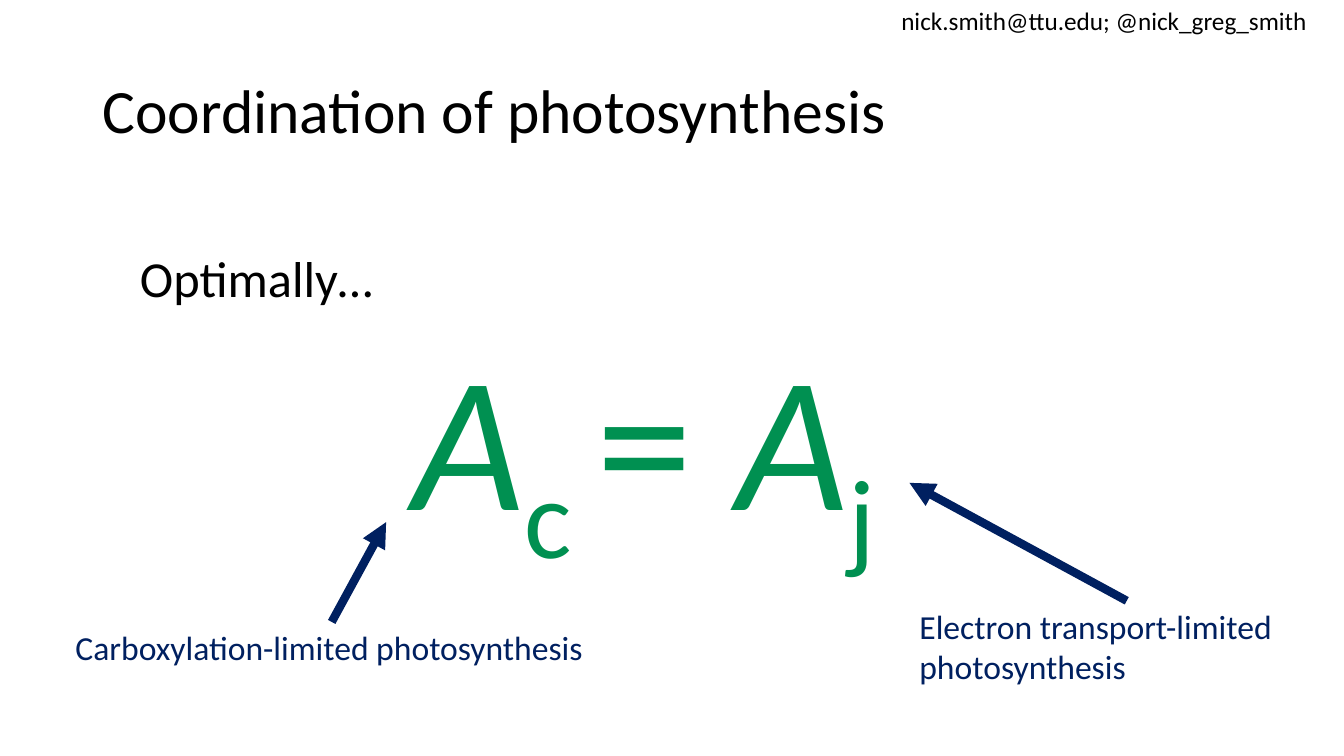
"""Build the slide on the coordination of photosynthesis."""
from lxml import etree
from pptx import Presentation
from pptx.dml.color import RGBColor
from pptx.enum.shapes import MSO_CONNECTOR
from pptx.enum.text import MSO_ANCHOR, MSO_AUTO_SIZE
from pptx.oxml.ns import qn
from pptx.util import Inches, Pt

STRAIGHT = MSO_CONNECTOR.STRAIGHT
MIDDLE = MSO_ANCHOR.MIDDLE
GROW = MSO_AUTO_SIZE.SHAPE_TO_FIT_TEXT
BLACK = RGBColor(0x00, 0x00, 0x00)
GREEN = RGBColor(0x00, 0x90, 0x51)
NAVY = RGBColor(0x00, 0x20, 0x60)
FONT = "Calibri"
TOP = 0
WIDE, HIGH = Inches(13.33), Inches(7.5)


def across(share):
    """Turn a percentage of the slide's width into a length."""
    return int(WIDE * share / 100)


def down(share):
    """Turn a percentage of the slide's height into a length."""
    return int(HIGH * share / 100)


def style(run, size, color):
    """Set the font, size and colour of a run."""
    run.font.name = FONT
    run.font.size = Pt(size)
    run.font.color.rgb = color


def add_box(slide, place, wrap=False):
    """Add an empty text box at a place given in percentages."""
    left, top, width, height = place
    box = slide.shapes.add_textbox(
        across(left), down(top), across(width), down(height))
    box.text_frame.word_wrap = wrap
    box.text_frame.auto_size = GROW
    return box


def add_label(slide, text, place, size, color=BLACK, wrap=False):
    """Add a text box in a single style."""
    box = add_box(slide, place, wrap)
    box.text_frame.text = text
    style(box.text_frame.paragraphs[0].runs[0], size, color)
    return box


def add_title(slide, text, place):
    """Add the title, centred in its height."""
    frame = add_label(slide, text, place, 44, wrap=True).text_frame
    frame.auto_size = MSO_AUTO_SIZE.NONE
    frame.vertical_anchor = MIDDLE
    frame.paragraphs[0].line_spacing = 0.9


def add_formula(slide, parts, place):
    """Add a formula from pairs of text and role."""
    para = add_box(slide, place).text_frame.paragraphs[0]
    for text, role in parts:
        run = para.add_run()
        run.text = text
        style(run, 138, GREEN)
        run.font.italic = role == "symbol"
        if role == "sub":
            run.font._element.set("baseline", "-25000")


def add_arrow(slide, label, tip):
    """Point an arrow from the top of a label to a tip."""
    end = across(tip[0]), down(tip[1])
    arrow = slide.shapes.add_connector(
        STRAIGHT, label.left + label.width // 2, label.top, *end)
    arrow.begin_connect(label, TOP)
    arrow.line.color.rgb = NAVY
    arrow.line.width = Pt(6)
    line = arrow.line._get_or_add_ln()
    etree.SubElement(line, qn("a:tailEnd"), type="triangle")
    etree.SubElement(arrow._element.spPr, qn("a:effectLst"))


def main():
    """Build and save the slide."""
    deck = Presentation()
    deck.slide_width, deck.slide_height = WIDE, HIGH
    slide = deck.slides.add_slide(deck.slide_layouts[6])

    add_title(slide, "Coordination of photosynthesis",
              (6.9, 5.33, 86.25, 19.33))
    parts = [("A", "symbol"), ("c ", "sub"), ("= ", "sign"),
             ("A", "symbol"), ("j", "sub")]
    add_formula(slide, parts, (29.93, 41.33, 37.43, 32.27))
    add_label(slide, "Optimally…", (9.68, 32, 19.05, 9.47), 36)

    carbon = add_label(slide, "Carboxylation-limited photosynthesis",
                       (4.88, 82.27, 39.6, 6.67), 24, NAVY)
    add_arrow(slide, carbon, (28.73, 69.07))
    light = add_label(slide, "Electron transport-limited photosynthesis",
                      (67.67, 79.47, 32.33, 12.13), 24, NAVY, True)
    add_arrow(slide, light, (67.67, 63.87))

    add_label(slide, "nick.smith@ttu.edu; @nick_greg_smith",
              (66.32, 0, 32.03, 5.33), 18)
    deck.save("out.pptx")


if __name__ == "__main__":
    main()
